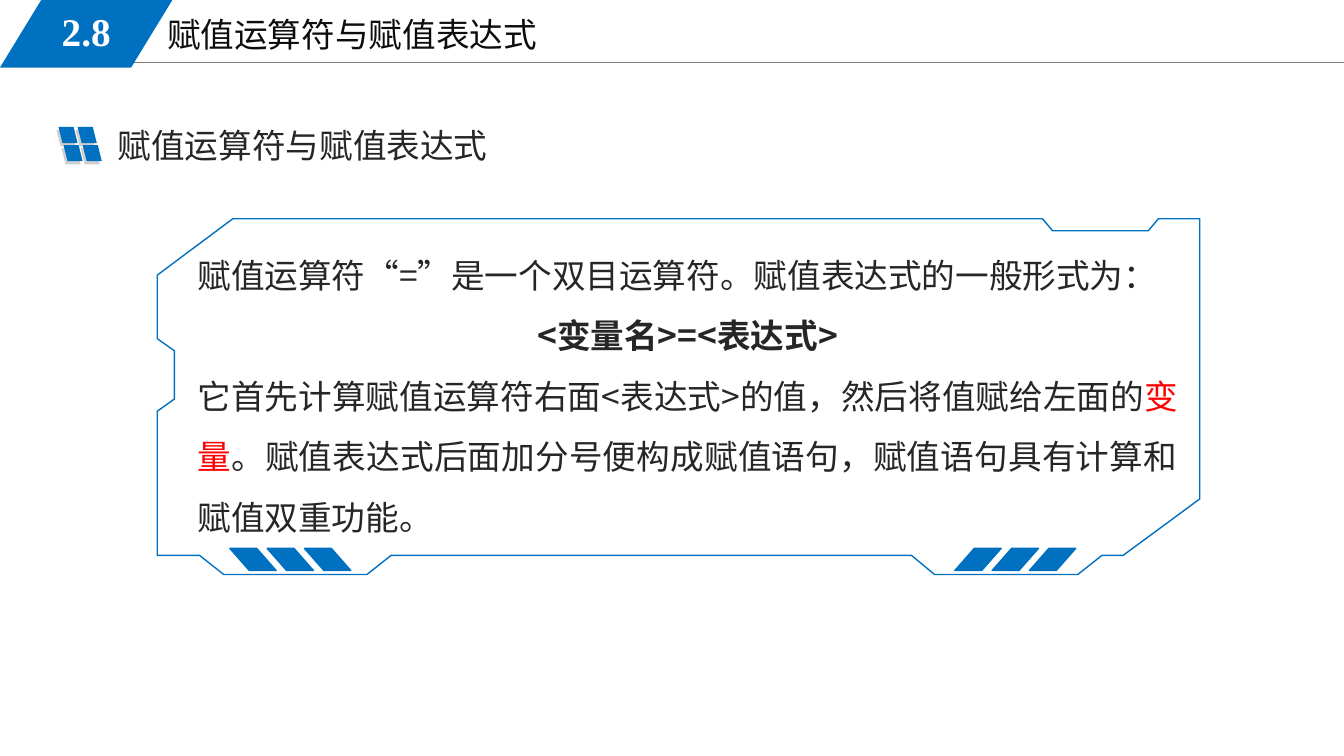
import pptx
import pptx.dml.color
import pptx.enum.shapes
import pptx.enum.text
import pptx.oxml.ns
import pptx.util
from dataclasses import dataclass
from lxml import etree

Inches = pptx.util.Inches
ALIGN = pptx.enum.text.PP_ALIGN
ANCHOR = pptx.enum.text.MSO_ANCHOR


@dataclass(frozen=True)
class Theme:
    blue: str = "0070C0"
    shade: str = "D0CECE"
    rule: str = "808080"
    title: str = "0D0D0D"
    text: str = "262626"
    accent: str = "FF0000"
    white: str = "FFFFFF"
    serif: str = "Times New Roman"
    sans: str = "Noto Sans CJK SC"
    body_size: int = 24
    number_size: int = 28


THEME = Theme()
SLIDE_W, SLIDE_H = 13.33, 7.5


def rgb(value):
    return pptx.dml.color.RGBColor.from_string(value)


def style_paragraph(p, size, color, font, bold=False):
    p.font.size = pptx.util.Pt(size)
    p.font.bold = bold
    p.font.color.rgb = rgb(color)
    p.font.name = font
    # East Asian characters always use the sans face
    defaults = p._p.pPr.find(pptx.oxml.ns.qn("a:defRPr"))
    etree.SubElement(defaults, pptx.oxml.ns.qn("a:ea"), typeface=THEME.sans)


def add_text_box(shapes, box, anchor=ANCHOR.TOP):
    tf = shapes.add_textbox(*map(Inches, box)).text_frame
    tf.word_wrap = True
    tf.auto_size = pptx.enum.text.MSO_AUTO_SIZE.SHAPE_TO_FIT_TEXT
    tf.vertical_anchor = anchor
    return tf


def add_label(shapes, box, text, size, color, font, bold=False,
              align=ALIGN.LEFT, anchor=ANCHOR.TOP):
    p = add_text_box(shapes, box, anchor).paragraphs[0]
    p.text = text
    p.alignment = align
    style_paragraph(p, size, color, font, bold)


def add_slant(shapes, box, color, adj=0.25, flip=False, outlined=False):
    sp = shapes.add_shape(pptx.enum.shapes.MSO_SHAPE.PARALLELOGRAM,
                          *map(Inches, box))
    sp.adjustments[0] = adj
    sp.shadow.inherit = False
    sp.fill.solid()
    sp.fill.fore_color.rgb = rgb(color)
    if outlined:
        sp.line.color.rgb = rgb(color)
        sp.line.width = pptx.util.Pt(1)
    else:
        sp.line.fill.background()
    if flip:
        sp._element.spPr.xfrm.set("flipH", "1")


def add_header(s, box, number, title):
    x, y, w, h = box
    # Rule under the title
    rule = s.shapes.add_connector(
        pptx.enum.shapes.MSO_CONNECTOR.STRAIGHT,
        Inches(x + 1.13), Inches(y + 0.62), Inches(x + w), Inches(y + 0.62))
    rule.line.color.rgb = rgb(THEME.rule)
    rule.line.width = pptx.util.Pt(0.75)
    etree.SubElement(rule._element.spPr, pptx.oxml.ns.qn("a:effectLst"))
    # Title and section number
    add_label(s.shapes, (x + 1.56, y + 0.09, 5.67, 0.51), title,
              THEME.body_size, THEME.title, THEME.serif)
    add_slant(s.shapes, (x, y, 1.71, h), THEME.blue, adj=0.61)
    add_label(s.shapes, (x + 0.25, y + 0.02, 1.21, 0.58), number,
              THEME.number_size, THEME.white, THEME.serif, bold=True,
              align=ALIGN.CENTER, anchor=ANCHOR.MIDDLE)


def add_heading(s, box, text):
    x, y, w, h = box
    group = s.shapes.add_group_shape()
    # Four-pane icon: shade first, then the blue panes
    for color, dx, dy in ((THEME.shade, 0, 0.1), (THEME.blue, 0.02, 0.07)):
        for row in range(2):
            for col in range(2):
                pane = (x + dx + 0.19 * col + 0.05 * row,
                        y + dy + 0.18 * row, 0.19, 0.16)
                add_slant(group.shapes, pane, color, flip=True)
    add_label(group.shapes, (x + 0.51, y, w - 0.51, h), text,
              THEME.body_size, THEME.text, THEME.sans)


def add_frame(s, box):
    x, y, w, h = box
    base = h - 0.19
    group = s.shapes.add_group_shape()
    outline = [
        (0.75, 0), (8.78, 0), (8.88, 0.12), (9.83, 0.12), (9.93, 0),  # top
        (w, 0), (w, 2.78), (9.58, base),  # right
        (9.37, base), (9.13, h), (7.71, h), (7.48, base),  # right tab
        (2.32, base), (2.08, h), (0.66, h), (0.42, base),  # left tab
        (0, base), (0, 1.91), (0.17, 1.79), (0.17, 1.31), (0, 1.19),
        (0, 0.56),  # left
    ]
    points = [(Inches(x + dx), Inches(y + dy)) for dx, dy in outline]
    builder = group.shapes.build_freeform(*points[0])
    builder.add_line_segments(points[1:], close=True)
    sp = builder.convert_to_shape()
    sp.shadow.inherit = False
    sp.fill.background()
    sp.line.color.rgb = rgb(THEME.blue)
    sp.line.width = pptx.util.Pt(1)
    # Three stripes in each tab
    for start, flip in ((7.91, False), (0.72, True)):
        for i in range(3):
            stripe = (x + start + 0.37 * i, y + h - 0.26, 0.46, 0.22)
            add_slant(group.shapes, stripe, THEME.blue, 0.88, flip, True)


def add_body(s, box, paragraphs):
    tf = add_text_box(s.shapes, box)
    for i, (align, bold, runs) in enumerate(paragraphs):
        p = tf.add_paragraph() if i else tf.paragraphs[0]
        p.alignment = align
        p.line_spacing = 1.5
        style_paragraph(p, THEME.body_size, THEME.text, THEME.sans, bold)
        for text, color in runs:
            r = p.add_run()
            r.text = text
            if color:
                r.font.color.rgb = rgb(color)


def build_slide(prs):
    s = prs.slides.add_slide(prs.slide_layouts[6])
    topic = "赋值运算符与赋值表达式"
    add_header(s, (0, 0, SLIDE_W, 0.67), "2.8", topic)
    add_body(s, (1.86, 2.28, 9.92, 3.13), [
        (ALIGN.LEFT, False,
         [("赋值运算符“=”是一个双目运算符。赋值表达式的一般形式为：", None)]),
        (ALIGN.CENTER, True, [("<变量名>=<表达式>", None)]),
        (ALIGN.JUSTIFY, False, [
            ("它首先计算赋值运算符右面<表达式>的值，然后将值赋给左面的", None),
            ("变量", THEME.accent),
            ("。赋值表达式后面加分号便构成赋值语句，"
             "赋值语句具有计算和赋值双重功能。", None)]),
    ])
    add_heading(s, (0.56, 1.19, 5.18, 0.5), topic)
    add_frame(s, (1.56, 2.17, 10.34, 3.53))


def main():
    prs = pptx.Presentation()
    prs.slide_width = Inches(SLIDE_W)
    prs.slide_height = Inches(SLIDE_H)
    build_slide(prs)
    prs.save("out.pptx")


if __name__ == "__main__":
    main()
